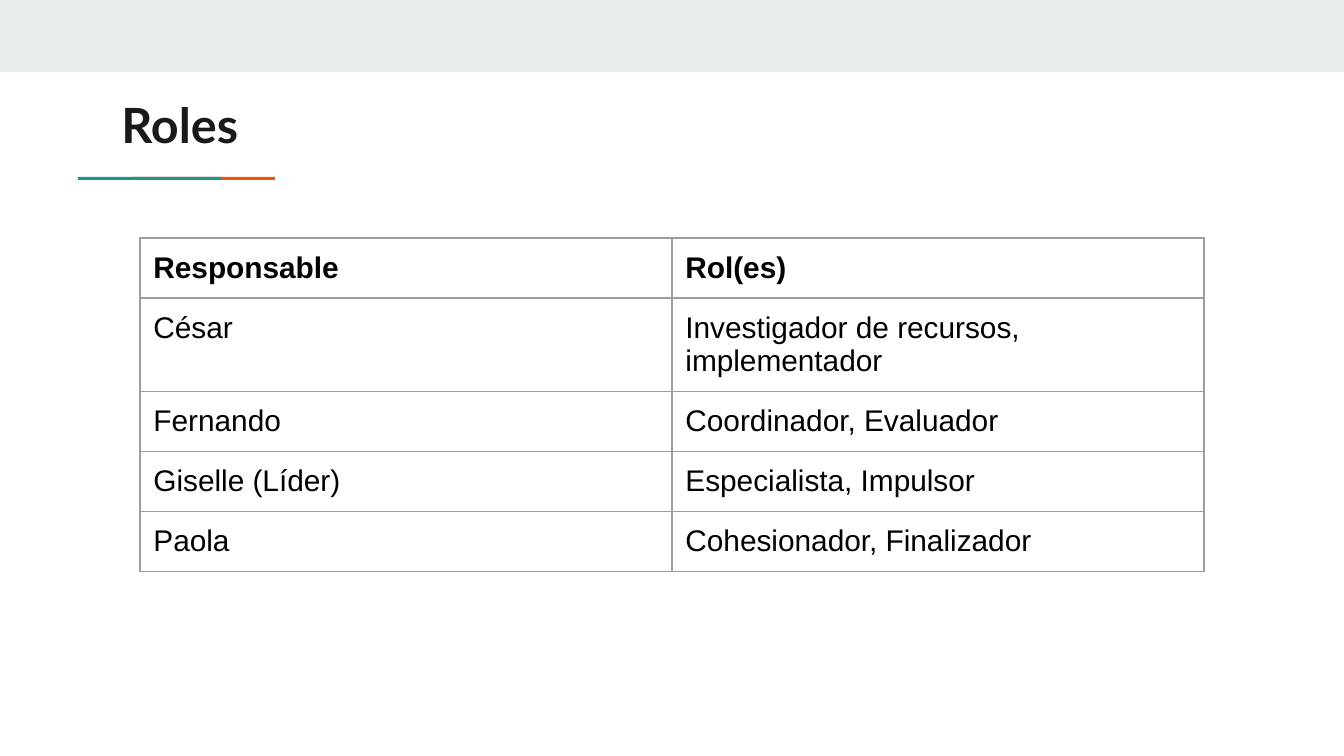
from lxml import etree
from pptx import Presentation, util as u
from pptx.dml.color import RGBColor
from pptx.enum import shapes, text
from pptx.oxml.ns import qn

# Content
TITLE = "Roles"
ROWS = [
    ("Responsable", "Rol(es)"),
    ("César", "Investigador de recursos, implementador"),
    ("Fernando", "Coordinador, Evaluador"),
    ("Giselle (Líder)", "Especialista, Impulsor"),
    ("Paola", "Cohesionador, Finalizador"),
]

# Theme and geometry, lengths in px
THEME = {
    "band": "E9EDEE", "teal": "1A9988", "orange": "EB5600", "border": "9E9E9E",
    "title": {"name": "Lato", "size": u.Pt(26), "bold": True, "color": "1A1A1A"},
    "cell": {"name": "Arial", "size": u.Pt(16), "color": "000000"},
    "inset": u.Inches(0.1),
}
SCALE = 914400 / 134.4
WIDTH, HEIGHT = 1344, 756
BARS = [
    ("band", (0, 0, WIDTH, 72)),
    ("orange", (132, 177, 143, 3)),
    ("teal", (78, 177, 143, 3)),
]
TITLE_BOX = (108, 82, 1130, 79)
TABLE_AT, COL_WIDTH, ROW_HEIGHT = (140, 238), 532, 56


def px(n):
    return u.Emu(round(n * SCALE))


def style(font, values):
    for key, value in values.items():
        if key == "color":
            font.color.rgb = RGBColor.from_string(value)
        else:
            setattr(font, key, value)


def set_margins(obj):
    for side in ("left", "top", "right", "bottom"):
        setattr(obj, f"margin_{side}", THEME["inset"])


def set_borders(cell):
    tc_pr = cell._tc.get_or_add_tcPr()
    for i, tag in enumerate(("a:lnL", "a:lnR", "a:lnT", "a:lnB")):
        ln = etree.Element(qn(tag), w=str(u.Pt(0.75)))
        fill = etree.SubElement(ln, qn("a:solidFill"))
        etree.SubElement(fill, qn("a:srgbClr"), val=THEME["border"])
        tc_pr.insert(i, ln)


prs = Presentation()
prs.slide_width, prs.slide_height = px(WIDTH), px(HEIGHT)
s = prs.slides.add_slide(prs.slide_layouts[5])

# Top band, then the teal bar overlapping the orange one
for color, box in BARS:
    sp = s.shapes.add_shape(shapes.MSO_SHAPE.RECTANGLE, *map(px, box))
    sp.shadow.inherit = False
    sp.fill.solid()
    sp.fill.fore_color.rgb = RGBColor.from_string(THEME[color])
    sp.line.fill.background()

# Title
title = s.shapes.title
title.left, title.top, title.width, title.height = map(px, TITLE_BOX)
tf = title.text_frame
tf.text = TITLE
tf.vertical_anchor = text.MSO_ANCHOR.TOP
tf.auto_size = text.MSO_AUTO_SIZE.NONE
set_margins(tf)
p = tf.paragraphs[0]
p.alignment = text.PP_ALIGN.LEFT
style(p.runs[0].font, THEME["title"])

# Roles table: rows grow to fit their text
table = s.shapes.add_table(
    len(ROWS), len(ROWS[0]), *map(px, TABLE_AT),
    px(COL_WIDTH * len(ROWS[0])), px(ROW_HEIGHT * len(ROWS))).table
table.first_row = table.horz_banding = False
for col in table.columns:
    col.width = px(COL_WIDTH)
for i, values in enumerate(ROWS):
    table.rows[i].height = px(ROW_HEIGHT)
    for j, value in enumerate(values):
        cell = table.cell(i, j)
        cell.text = value
        cell.fill.background()
        set_margins(cell)
        set_borders(cell)
        r = cell.text_frame.paragraphs[0].runs[0]
        style(r.font, {**THEME["cell"], "bold": i == 0})

prs.save("out.pptx")
